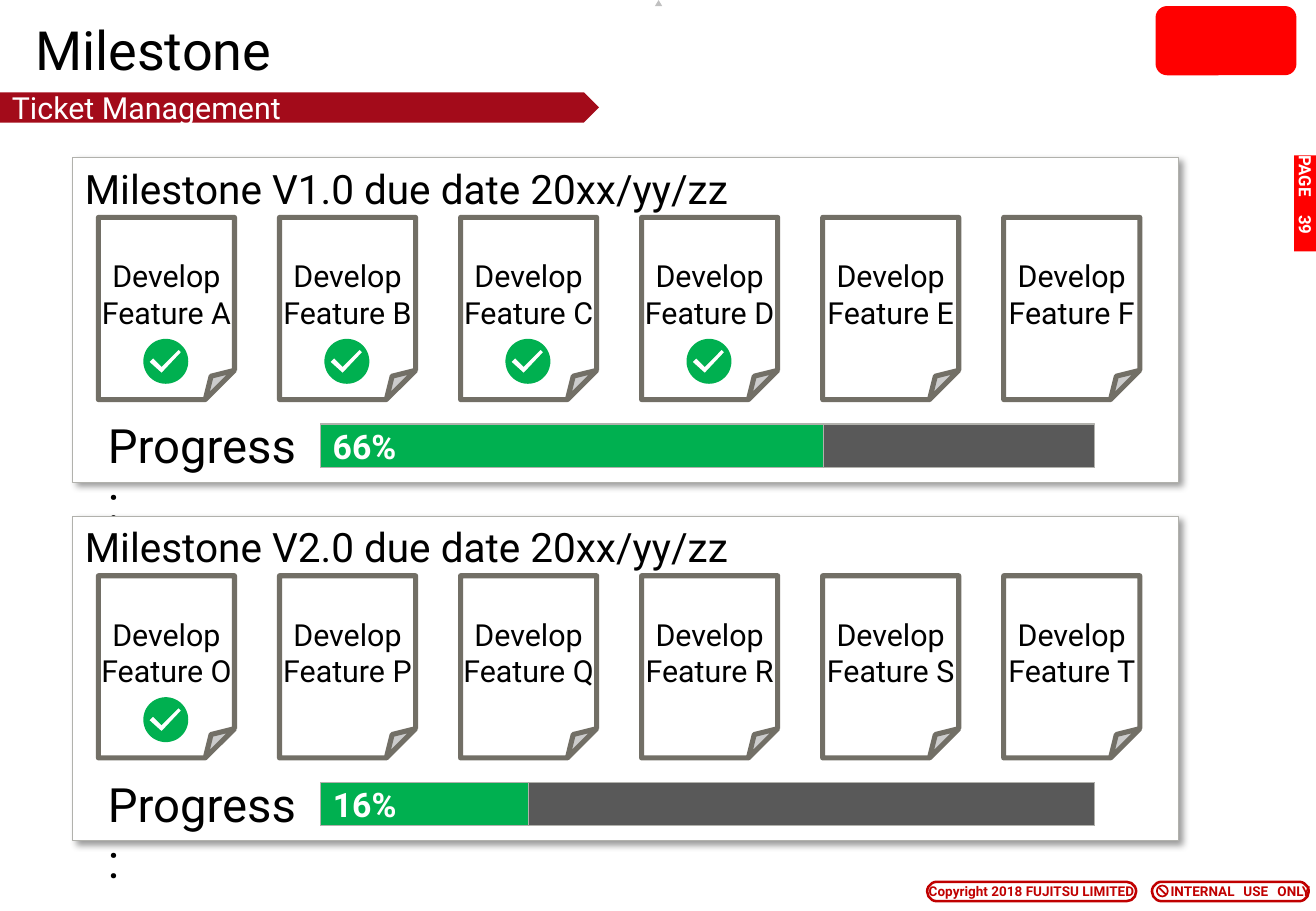
from math import cos, pi, sin

from lxml.etree import SubElement
from pptx import Presentation
from pptx.dml.color import RGBColor
from pptx.enum.shapes import MSO_CONNECTOR, MSO_SHAPE
from pptx.enum.text import MSO_ANCHOR, PP_ALIGN
from pptx.oxml.ns import qn
from pptx.util import Inches, Pt

MILESTONES = [
    {"title": "Milestone V1.0 due date 20xx/yy/zz", "features": "ABCDEF",
     "done": 4, "percent": "66%", "bar": 4.14},
    {"title": "Milestone V2.0 due date 20xx/yy/zz", "features": "OPQRST",
     "done": 1, "percent": "16%", "bar": 1.71},
]
TITLE = "Milestone"
SECTION = "Ticket Management"
PROGRESS = "Progress:"
PAGE_TAB = "PAGE\t39"
COPYRIGHT = "Copyright 2018 FUJITSU LIMITED"
INTERNAL = "INTERNAL\tUSE\tONLY"

THEME = {
    "font": "Roboto",
    "black": "000000", "white": "FFFFFF", "red": "FF0000", "dark_red": "C00000",
    "crimson": "A30B1A", "silver": "C0C0C0", "border": "B1B1AC",
    "page_line": "726F66", "green": "00B050", "track": "595959",
    "title": 32, "progress": 28, "panel": 24, "percent": 20, "body": 18,
    "tab": 10, "footer": 8,
}

PANEL_TOP, PANEL_PITCH = 1.3, 2.95
PAGE_LEFT, PAGE_PITCH = 0.81, 1.49
BADGE = 0.37
TICK = [(0.15, 0.28), (0.05, 0.19), (0.08, 0.16), (0.15, 0.23), (0.29, 0.09), (0.31, 0.11)]
INSETS = (0.1, 0.05, 0.1, 0.05)
NONE = (0, 0, 0, 0)

prs = Presentation()
prs.slide_width, prs.slide_height = Inches(10.83), Inches(7.5)
s = prs.slides.add_slide(prs.slide_layouts[6])


def color(name):
    return RGBColor.from_string(THEME[name])


def paint(sp, fill, line=None, width=0.75):
    sp.shadow.inherit = False
    sp.fill.solid()
    sp.fill.fore_color.rgb = color(fill)
    if line:
        sp.line.color.rgb = color(line)
        sp.line.width = Pt(width)
    else:
        sp.line.fill.background()
    return sp


def shape(kind, box, fill, line=None, width=0.75):
    return paint(s.shapes.add_shape(kind, *map(Inches, box)), fill, line, width)


def textbox(box):
    return s.shapes.add_textbox(*map(Inches, box))


def write(sp, lines, size, ink="black", bold=False, align=PP_ALIGN.LEFT,
          anchor=MSO_ANCHOR.MIDDLE, insets=INSETS, wrap=True, tabs=()):
    tf = sp.text_frame
    left, top, right, bottom = map(Inches, insets)
    frame = {"word_wrap": wrap, "vertical_anchor": anchor, "margin_left": left,
             "margin_top": top, "margin_right": right, "margin_bottom": bottom}
    for name, value in frame.items():
        setattr(tf, name, value)
    for i, line in enumerate(lines):
        p = tf.add_paragraph() if i else tf.paragraphs[0]
        p.alignment = align
        if tabs:
            stops = SubElement(p._p.get_or_add_pPr(), qn("a:tabLst"))
            for pos in tabs:
                SubElement(stops, qn("a:tab"), pos=str(Inches(pos)), algn="l")
        r = p.add_run()
        r.text = line
        for name, value in {"name": THEME["font"], "size": Pt(THEME[size]), "bold": bold}.items():
            setattr(r.font, name, value)
        r.font.color.rgb = color(ink)


def drop_shadow(sp):
    effects = sp._element.spPr.find(qn("a:effectLst"))
    shadow = SubElement(effects, qn("a:outerShdw"), blurRad=str(Pt(4)), dist=str(Pt(3)),
                        dir=str(45 * 60000), algn="tl", rotWithShape="0")
    ink = SubElement(shadow, qn("a:srgbClr"), val=THEME["black"])
    SubElement(ink, qn("a:alpha"), val="40000")


def fold_corner(sp):
    guides = sp._element.spPr.find(qn("a:prstGeom")).find(qn("a:avLst"))
    SubElement(guides, qn("a:gd"), name="adj", fmla="val 21500")


def done_badge(left, top):
    radius = BADGE / 2
    angles = [2 * pi * i / 60 for i in range(60)]
    circle = [(radius + radius * cos(a), radius + radius * sin(a)) for a in angles]
    ring, tick = ([(Inches(left + x), Inches(top + y)) for x, y in outline]
                  for outline in (circle, TICK))
    fb = s.shapes.build_freeform(*ring[0])
    fb.add_line_segments(ring[1:], close=True)
    fb.move_to(*tick[0])
    fb.add_line_segments(tick[1:], close=True)
    paint(fb.convert_to_shape(), "green")


def milestone(top, data):
    panel = shape(MSO_SHAPE.RECTANGLE, (0.6, top, 9.1, 2.67), "white", "border")
    drop_shadow(panel)
    write(panel, [data["title"]], "panel", anchor=MSO_ANCHOR.TOP)
    lefts = [PAGE_LEFT + PAGE_PITCH * i for i in range(len(data["features"]))]
    for left, letter in zip(lefts, data["features"]):
        page = shape(MSO_SHAPE.FOLDED_CORNER, (left, top + 0.49, 1.12, 1.5),
                     "white", "page_line", 3)
        fold_corner(page)
        write(page, ["Develop", f"Feature {letter}"], "body",
              align=PP_ALIGN.CENTER, insets=NONE)
    for left in lefts[:data["done"]]:
        done_badge(left + 0.37, top + 1.49)
    write(textbox((0.79, top + 2.08, 1.77, 0.57)), [PROGRESS], "progress", anchor=MSO_ANCHOR.TOP)
    shape(MSO_SHAPE.RECTANGLE, (2.64, top + 2.19, 6.37, 0.36), "track", "border")
    bar = shape(MSO_SHAPE.RECTANGLE, (2.64, top + 2.19, data["bar"], 0.36), "green", "border")
    write(bar, [data["percent"]], "percent", "white", True)


def footer():
    pills = [
        (9.48, 1.29, INTERNAL, {"insets": (0.13, 0, 0, 0), "tabs": (0.6, 0.88)}),
        (7.63, 1.72, COPYRIGHT, {"insets": NONE, "align": PP_ALIGN.CENTER}),
    ]
    for left, width, text, layout in pills:
        pill = shape(MSO_SHAPE.ROUNDED_RECTANGLE, (left, 7.26, width, 0.16),
                     "white", "dark_red", 1.5)
        pill.adjustments[0] = 0.5
        write(pill, [text], "footer", "dark_red", True, wrap=False, **layout)
    shape(MSO_SHAPE.OVAL, (9.52, 7.29, 0.09, 0.09), "white", "dark_red", 1)
    slash = s.shapes.add_connector(MSO_CONNECTOR.STRAIGHT, *map(Inches, (9.54, 7.31, 9.6, 7.37)))
    slash.line.color.rgb = color("dark_red")
    slash.line.width = Pt(1)
    SubElement(slash._element.spPr, qn("a:effectLst"))


def main():
    shape(MSO_SHAPE.ROUNDED_RECTANGLE, (9.51, 0.05, 1.16, 0.57), "red")
    shape(MSO_SHAPE.ISOSCELES_TRIANGLE, (5.39, 0, 0.06, 0.05), "silver")
    footer()
    write(textbox((0.19, 0.19, 9.17, 0.43)), [TITLE], "title")
    tab = shape(MSO_SHAPE.RECTANGLE, (10.35, 1.58, 0.79, 0.19), "red")
    tab.rotation = 90
    write(tab, [PAGE_TAB], "tab", "white", True, insets=NONE, tabs=(0.49,))
    for i, data in enumerate(MILESTONES):
        milestone(PANEL_TOP + PANEL_PITCH * i, data)
    ribbon = shape(MSO_SHAPE.RIGHT_ARROW, (0, 0.76, 4.93, 0.25), "crimson")
    ribbon.adjustments[0] = 1
    ribbon.adjustments[1] = 0.5
    write(ribbon, [SECTION], "body", "white")
    prs.save("out.pptx")


if __name__ == "__main__":
    main()
